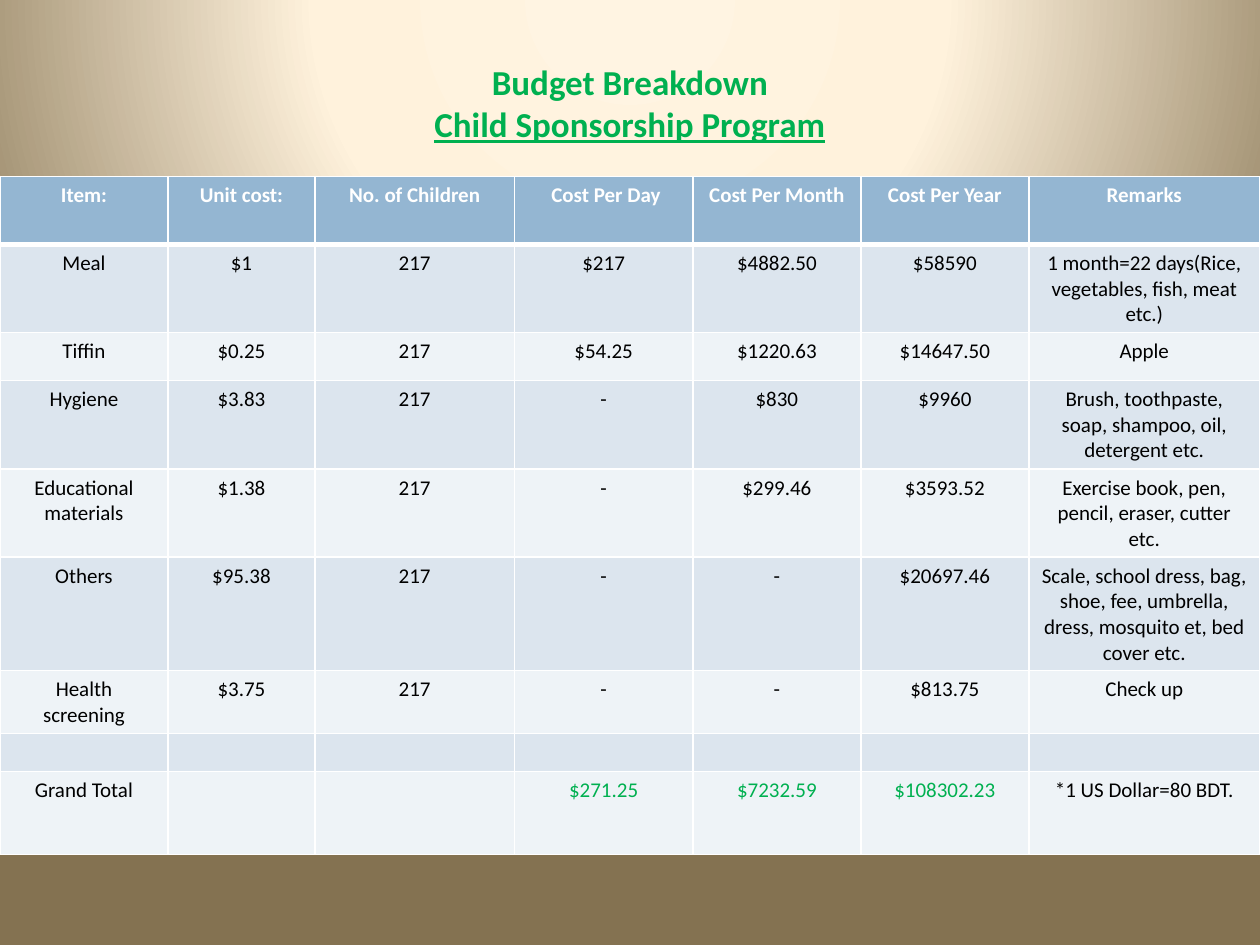
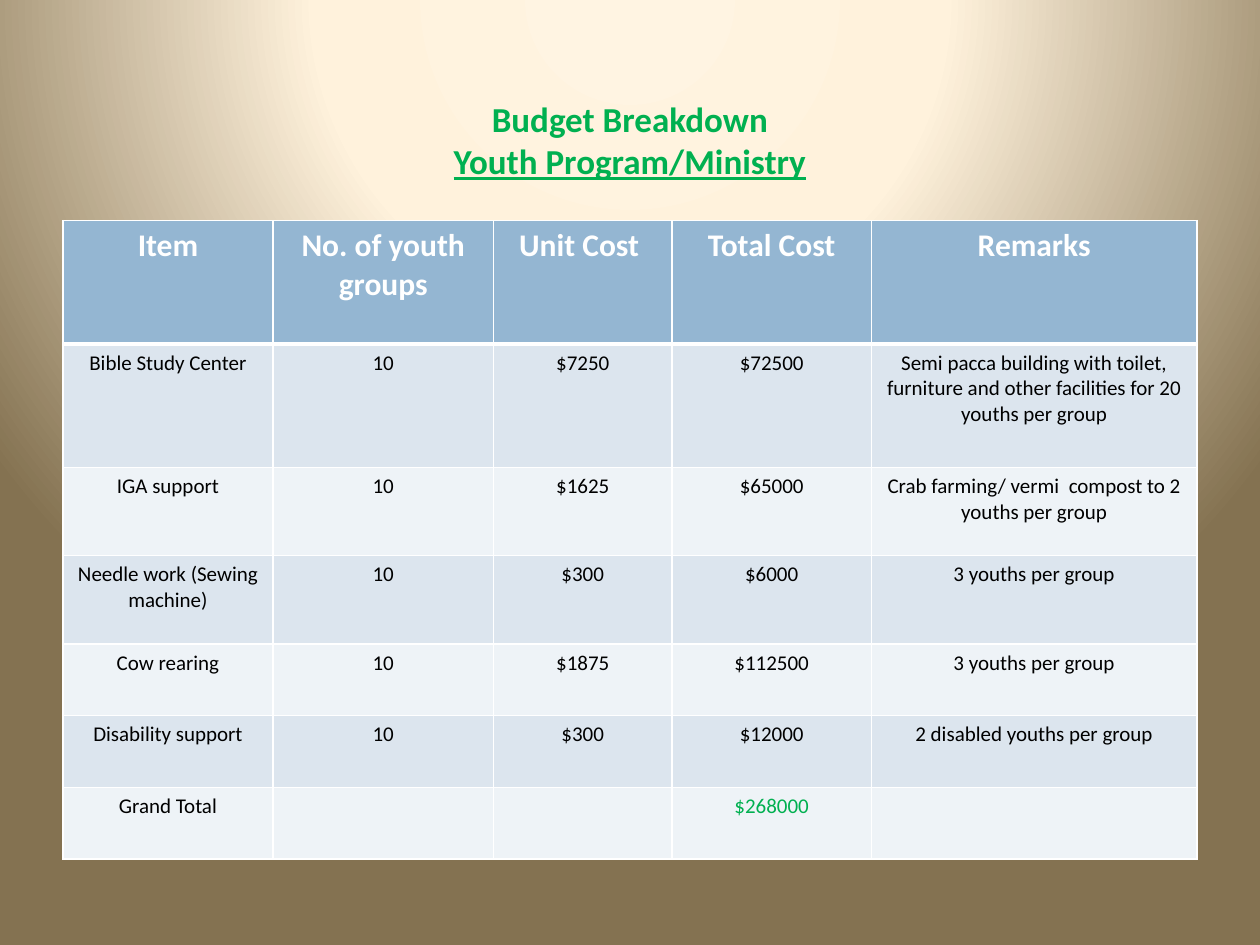
"""Build two budget breakdown slides, each a heading above a cost table."""
import dataclasses

import lxml.etree
import pptx
import pptx.dml.color
import pptx.enum.text
import pptx.oxml.ns
import pptx.presentation
import pptx.slide
import pptx.table
import pptx.text.text
import pptx.util

FONT = "Calibri"
GREEN, WHITE, BLACK = "00B050", "FFFFFF", "000000"
HEADER_FILL = "94B6D2"
BAND_FILLS = ("DCE5EE", "EEF3F7")
BACKDROP_STOPS = ((0, "FFF4E2"), (40, "FFF2DC"), (100, "847251"))
BACKDROP_FOCUS = {"l": 50, "t": -80, "r": 50, "b": 180}
GRID_UNITS_PER_INCH = 12
SLIDE_COLUMNS, SLIDE_ROWS = 120, 90
HEADING_LEFT, HEADING_COLUMNS = 6, 108
HEADING_SIZE, BODY_SIZE = 20, 12
BORDER, HEADER_BORDER = 1, 3
CENTER = pptx.enum.text.PP_ALIGN.CENTER


@dataclasses.dataclass(frozen=True)
class Budget:
    """One budget slide, measured in grid units."""

    program: str
    heading_top: float
    heading_rows: float
    table_left: float
    table_top: float
    header_size: int
    columns: tuple[int, ...]
    rows: tuple[float, ...]
    cells: tuple[tuple[str, ...], ...]


CHILD_SPONSORSHIP = Budget(
    "Child Sponsorship Program", 3.6, 12.36, 0, 16.8, 12,
    (16, 14, 19, 17, 16, 16, 22),
    (6.48, 8.16, 4.56, 8.16, 8.16, 10.44, 4.08, 3.48, 7.92),
    (
        ("Item:", "Unit cost:", "No. of Children", " Cost Per Day", "Cost Per Month",
         "Cost Per Year", "Remarks"),
        ("Meal", "$1", "217", "$217", "$4882.50", "$58590",
         "1 month=22 days(Rice, vegetables, fish, meat etc.)"),
        ("Tiffin", "$0.25", "217", "$54.25", "$1220.63", "$14647.50", "Apple"),
        ("Hygiene", "$3.83", "217", "-", "$830", "$9960",
         "Brush, toothpaste, soap, shampoo, oil, detergent etc."),
        ("Educational materials", "$1.38", "217", "-", "$299.46", "$3593.52",
         "Exercise book, pen, pencil, eraser, cutter etc."),
        ("Others", "$95.38", "217", "-", "-", "$20697.46",
         "Scale, school dress, bag, shoe, fee, umbrella, dress, mosquito et, bed cover etc."),
        ("Health screening", "$3.75", "217", "-", "-", "$813.75", "Check up"),
        ("",) * 7,
        ("Grand Total", "", "", "$271.25", "$7232.59", "$108302.23", "*1 US Dollar=80 BDT."),
    ),
)

YOUTH_PROGRAM = Budget(
    "Youth Program/Ministry", 8.04, 10.56, 6, 21, 18,
    (20, 21, 17, 19, 31),
    (11.76, 11.76, 8.4, 8.4, 6.84, 6.84, 6.84),
    (
        ("Item", "No. of youth groups", "Unit Cost ", "Total Cost", "Remarks"),
        ("Bible Study Center", "10", "$7250", "$72500",
         "Semi pacca building with toilet, furniture and other facilities for 20 youths per group"),
        ("IGA support", "10", "$1625", "$65000",
         "Crab farming/ vermi  compost to 2 youths per group"),
        ("Needle work (Sewing machine)", "10", "$300", "$6000", "3 youths per group"),
        ("Cow rearing", "10", "$1875", "$112500", "3 youths per group"),
        ("Disability support", "10", "$300", "$12000", "2 disabled youths per group"),
        ("Grand Total", "", "", "$268000", ""),
    ),
)


def grid(units: float) -> pptx.util.Emu:
    """Turn grid units into a length."""
    return pptx.util.Inches(units / GRID_UNITS_PER_INCH)


def color(value: str) -> pptx.dml.color.RGBColor:
    """Turn a hex string into a colour."""
    return pptx.dml.color.RGBColor.from_string(value)


def add_element(parent: lxml.etree._Element, tag: str, **attributes: object) -> lxml.etree._Element:
    """Append a drawing element to its parent."""
    values = {name: str(value) for name, value in attributes.items()}
    return lxml.etree.SubElement(parent, pptx.oxml.ns.qn(f"a:{tag}"), values)


def add_run(paragraph: pptx.text.text._Paragraph, text: str, size: float, shade: str,
            bold: bool = False, underline: bool = False) -> None:
    """Add one formatted run to a paragraph."""
    run = paragraph.add_run()
    run.text = text
    run.font.name = FONT
    run.font.size = pptx.util.Pt(size)
    run.font.color.rgb = color(shade)
    run.font.bold = bold
    run.font.underline = underline


def paint_backdrop(master: pptx.slide.SlideMaster) -> None:
    """Give the master its radial gradient."""
    master.background.fill.gradient()
    gradient = master.element.find(".//" + pptx.oxml.ns.qn("a:gradFill"))
    for child in list(gradient):
        gradient.remove(child)
    stops = add_element(gradient, "gsLst")
    for position, shade in BACKDROP_STOPS:
        add_element(add_element(stops, "gs", pos=position * 1000), "srgbClr", val=shade)
    focus = {side: share * 1000 for side, share in BACKDROP_FOCUS.items()}
    add_element(add_element(gradient, "path", path="circle"), "fillToRect", **focus)


def add_heading(slide: pptx.slide.Slide, budget: Budget) -> None:
    """Write the two-line heading."""
    box = slide.shapes.add_textbox(grid(HEADING_LEFT), grid(budget.heading_top),
                                   grid(HEADING_COLUMNS), grid(budget.heading_rows))
    frame = box.text_frame
    frame.word_wrap = True
    frame.vertical_anchor = pptx.enum.text.MSO_ANCHOR.MIDDLE
    paragraph = frame.paragraphs[0]
    paragraph.alignment = CENTER
    add_run(paragraph, "Budget Breakdown", HEADING_SIZE, GREEN, bold=True)
    paragraph.add_line_break()
    add_run(paragraph, budget.program, HEADING_SIZE, GREEN, bold=True, underline=True)


def add_borders(cell: pptx.table._Cell, row: int) -> None:
    """Draw white cell borders, thicker under the header row."""
    properties = cell._tc.get_or_add_tcPr()
    widths = {
        "lnL": BORDER,
        "lnR": BORDER,
        "lnT": HEADER_BORDER if row == 1 else BORDER,
        "lnB": HEADER_BORDER if row == 0 else BORDER,
    }
    for tag, width in widths.items():
        line = add_element(properties, tag, w=pptx.util.Pt(width))
        add_element(add_element(line, "solidFill"), "srgbClr", val=WHITE)


def fill_cell(cell: pptx.table._Cell, text: str, row: int, budget: Budget) -> None:
    """Style one cell by its row and write its text."""
    header, total = row == 0, row == len(budget.rows) - 1
    add_borders(cell, row)
    cell.fill.solid()
    cell.fill.fore_color.rgb = color(HEADER_FILL if header else BAND_FILLS[(row - 1) % 2])
    paragraph = cell.text_frame.paragraphs[0]
    paragraph.alignment = CENTER
    if not text:
        add_element(paragraph._p, "endParaRPr", sz=BODY_SIZE * 100)
    elif header:
        add_run(paragraph, text, budget.header_size, WHITE, bold=True)
    else:
        add_run(paragraph, text, BODY_SIZE, GREEN if total and text.startswith("$") else BLACK)


def add_budget_table(slide: pptx.slide.Slide, budget: Budget) -> None:
    """Add the cost table."""
    table = slide.shapes.add_table(
        len(budget.rows), len(budget.columns), grid(budget.table_left), grid(budget.table_top),
        grid(sum(budget.columns)), grid(sum(budget.rows))).table
    table.horz_banding = False
    for column, units in zip(table.columns, budget.columns):
        column.width = grid(units)
    for row, (units, texts) in enumerate(zip(budget.rows, budget.cells)):
        table.rows[row].height = grid(units)
        for column, text in enumerate(texts):
            fill_cell(table.cell(row, column), text, row, budget)


def add_budget_slide(presentation: pptx.presentation.Presentation, budget: Budget) -> None:
    """Add one budget slide on the blank layout."""
    slide = presentation.slides.add_slide(presentation.slide_layouts.get_by_name("Blank"))
    add_heading(slide, budget)
    add_budget_table(slide, budget)


def main() -> None:
    """Build and save the presentation."""
    presentation = pptx.Presentation()
    presentation.slide_width = grid(SLIDE_COLUMNS)
    presentation.slide_height = grid(SLIDE_ROWS)
    paint_backdrop(presentation.slide_master)
    for budget in (CHILD_SPONSORSHIP, YOUTH_PROGRAM):
        add_budget_slide(presentation, budget)
    presentation.save("out.pptx")


if __name__ == "__main__":
    main()
